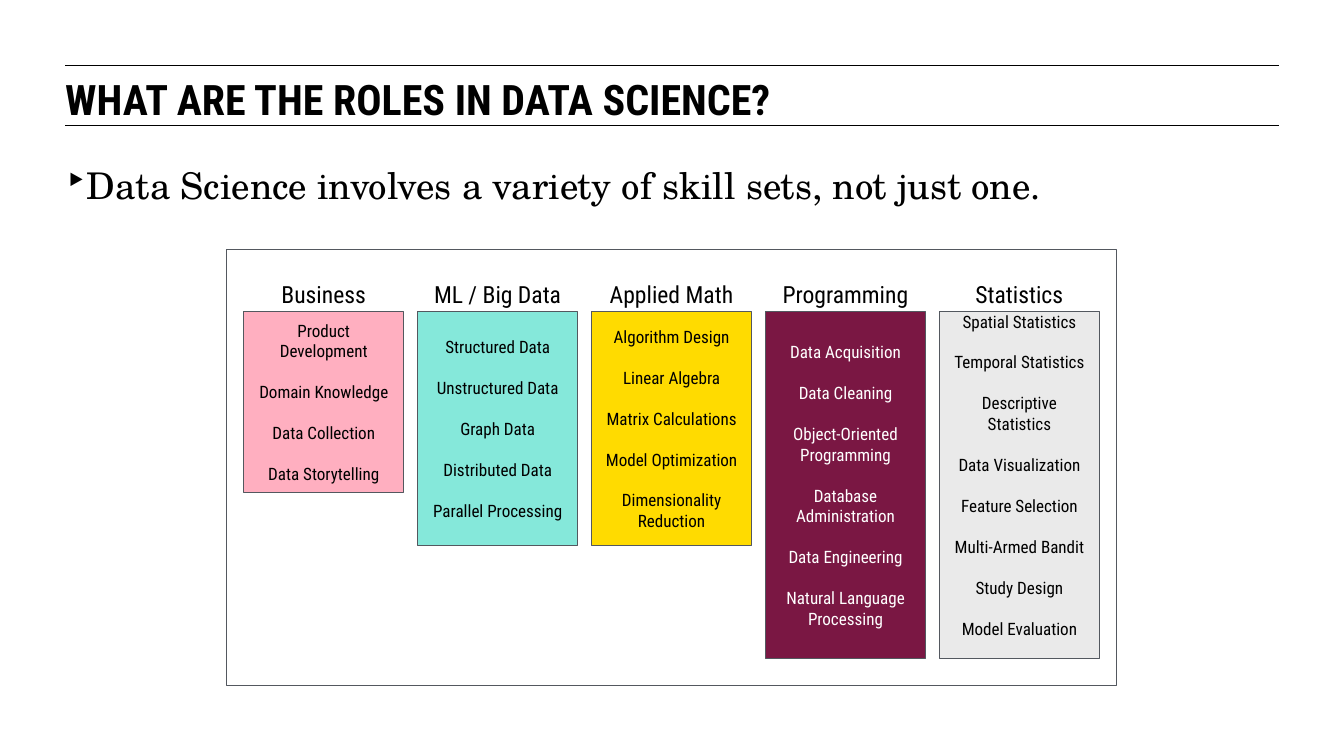
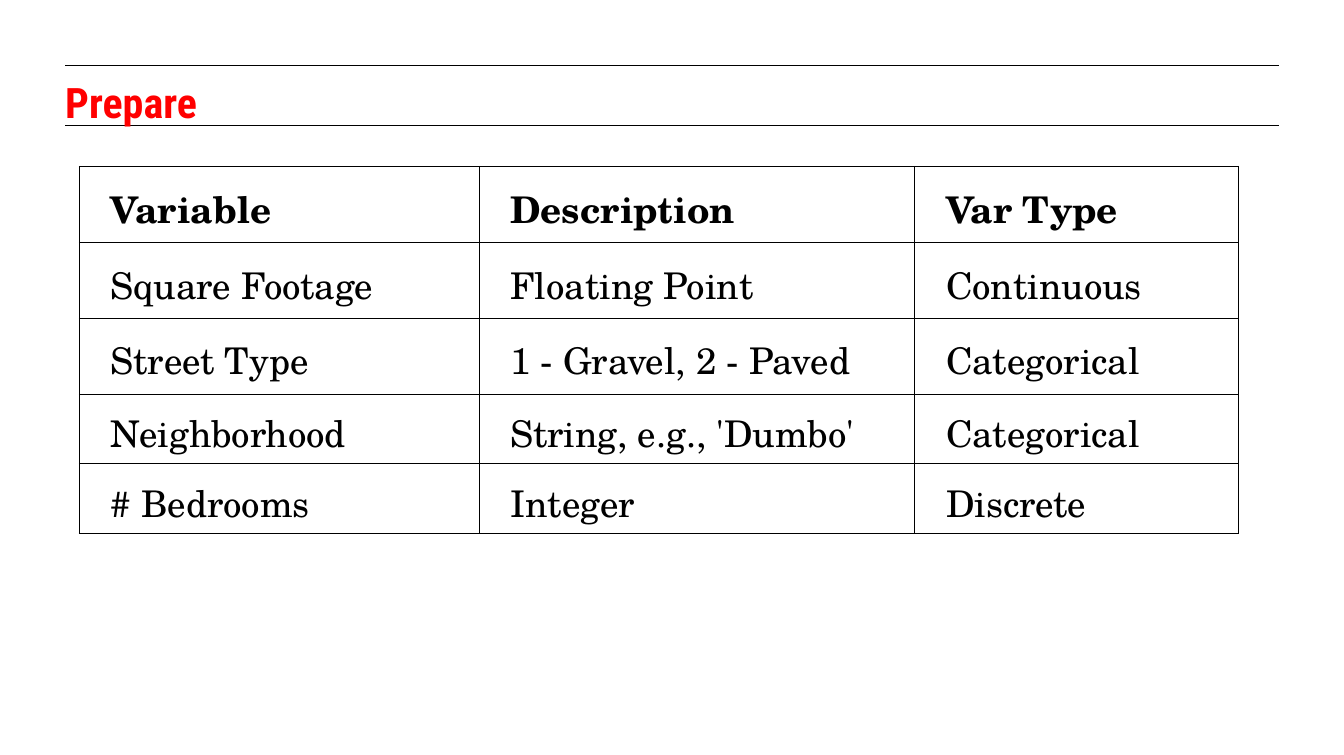
from lxml.etree import SubElement
from pptx import Presentation
from pptx.dml.color import RGBColor
from pptx.enum.shapes import MSO_CONNECTOR as Connector, MSO_SHAPE as Preset
from pptx.enum.text import MSO_ANCHOR as Anchor, PP_ALIGN as Align
from pptx.oxml import parse_xml
from pptx.oxml.ns import nsdecls, qn
from pptx.util import Inches, Pt

COLORS = {
    "black": "000000", "white": "FFFFFF", "red": "FF0000", "outline": "53585F",
    "pink": "FFAFC0", "teal": "85E8DA", "yellow": "FFDB00",
    "plum": "7A1743", "gray": "EAEAEA",
}
SANS = "Roboto Condensed"
SERIF = "TeX Gyre Schola"
LINE_WIDTH = Pt(0.75)


def rgb(name):
    return RGBColor.from_string(COLORS[name])


class Deck:
    """Holds the shared style and the slide being built."""

    def __init__(self, width, height):
        self.presentation = Presentation()
        self.presentation.slide_width = Inches(width)
        self.presentation.slide_height = Inches(height)
        self.slide = None

    def add_slide(self, title, color="black", title_top=0.78):
        self.slide = self.presentation.slides.add_slide(self.presentation.slide_layouts[6])
        for y in (0.69, 1.33):
            self.rule(0.69, 13.53, y)
        self.text(title, 0.69, title_top, 8.44, 0.47, size=32, color=color, bold=True)

    def rule(self, left, right, y):
        line = self.slide.shapes.add_connector(
            Connector.STRAIGHT, Inches(left), Inches(y), Inches(right), Inches(y))
        line.line.color.rgb = rgb("black")
        line.line.width = LINE_WIDTH
        SubElement(line._element.spPr, qn("a:effectLst"))

    def style(self, paragraph, size, font=SANS, color="black", bold=False):
        paragraph.font.name = font
        paragraph.font.size = Pt(size)
        paragraph.font.bold = bold
        paragraph.font.color.rgb = rgb(color)

    def frame(self, shape, inset, anchor):
        frame = shape.text_frame
        frame.word_wrap = True
        frame.vertical_anchor = anchor
        frame.margin_left = frame.margin_right = Inches(inset)
        frame.margin_top = frame.margin_bottom = Inches(inset)
        return frame

    def text(self, words, left, top, width, height, inset=0, anchor=Anchor.TOP,
             align=Align.LEFT, **style):
        box = self.slide.shapes.add_textbox(
            Inches(left), Inches(top), Inches(width), Inches(height))
        paragraph = self.frame(box, inset, anchor).paragraphs[0]
        paragraph.text = words
        paragraph.alignment = align
        self.style(paragraph, **style)
        return paragraph

    def bullet(self, words, left, top, width, height):
        paragraph = self.text(words, left, top, width, height, size=28, font=SERIF)
        properties = paragraph._p.get_or_add_pPr()
        properties.set("marL", str(Inches(0.22)))
        properties.set("indent", str(Inches(-0.28)))
        color = SubElement(properties, qn("a:buClr"))
        SubElement(color, qn("a:srgbClr"), val=COLORS["black"])
        SubElement(properties, qn("a:buChar"), char="‣")

    def box(self, left, top, width, height, fill=None):
        shape = self.slide.shapes.add_shape(
            Preset.RECTANGLE, Inches(left), Inches(top), Inches(width), Inches(height))
        shape.shadow.inherit = False
        shape.line.color.rgb = rgb("outline")
        shape.line.width = LINE_WIDTH
        if fill:
            shape.fill.solid()
            shape.fill.fore_color.rgb = rgb(fill)
        else:
            shape.fill.background()
        return shape

    def list_box(self, items, left, top, width, height, fill, color, lift):
        shape = self.box(left, top, width, height, fill)
        frame = self.frame(shape, 0.1, Anchor.MIDDLE)
        frame.margin_bottom = Inches(0.1 + lift)
        for index, item in enumerate(items):
            paragraph = frame.add_paragraph() if index else frame.paragraphs[0]
            paragraph.text = item
            paragraph.alignment = Align.CENTER
            paragraph.space_before = Pt(15.6 if index else 0)
            self.style(paragraph, 13, color=color)

    def table(self, rows, left, top, widths, heights):
        table = self.slide.shapes.add_table(
            len(rows), len(widths), Inches(left), Inches(top),
            Inches(sum(widths)), Inches(sum(heights))).table
        table.first_row = table.horz_banding = False
        for column, width in zip(table.columns, widths):
            column.width = Inches(width)
        for row, height in zip(table.rows, heights):
            row.height = Inches(height)
        for row_index, row in enumerate(rows):
            for column_index, words in enumerate(row):
                self.cell(table.cell(row_index, column_index), words, bold=row_index == 0)

    def cell(self, cell, words, bold):
        cell.fill.solid()
        cell.fill.fore_color.rgb = rgb("white")
        cell.vertical_anchor = Anchor.MIDDLE
        cell.margin_left = cell.margin_right = Inches(0.04)
        cell.margin_top = cell.margin_bottom = Inches(0.04)
        paragraph = cell.text_frame.paragraphs[0]
        paragraph.text = words
        paragraph.line_spacing = 1.15
        paragraph.space_before = paragraph.space_after = Pt(11)
        paragraph._p.get_or_add_pPr().set("marL", str(Inches(0.29)))
        self.style(paragraph, 28, font=SERIF, bold=bold)
        # Borders come before the fill in the cell properties
        properties = cell._tc.get_or_add_tcPr()
        for index, side in enumerate(("lnL", "lnR", "lnT", "lnB")):
            properties.insert(index, parse_xml(
                f'<a:{side} {nsdecls("a")} w="{LINE_WIDTH}"><a:solidFill>'
                f'<a:srgbClr val="{COLORS["black"]}"/></a:solidFill></a:{side}>'))


# Heading, fill, text colour, box height, upward shift of the list, skills
ROLES = [
    ("Business", "pink", "black", 1.91, 0,
     ["Product Development", "Domain Knowledge", "Data Collection", "Data Storytelling"]),
    ("ML / Big Data", "teal", "black", 2.47, 0,
     ["Structured Data", "Unstructured Data", "Graph Data", "Distributed Data",
      "Parallel Processing"]),
    ("Applied Math", "yellow", "black", 2.47, 0,
     ["Algorithm Design", "Linear Algebra", "Matrix Calculations", "Model Optimization",
      "Dimensionality Reduction"]),
    ("Programming", "plum", "white", 3.67, 0,
     ["Data Acquisition", "Data Cleaning", "Object-Oriented Programming",
      "Database Administration", "Data Engineering", "Natural Language Processing"]),
    ("Statistics", "gray", "black", 3.67, 0.22,
     ["Spatial Statistics", "Temporal Statistics", "Descriptive Statistics",
      "Data Visualization", "Feature Selection", "Multi-Armed Bandit", "Study Design",
      "Model Evaluation"]),
]

VARIABLES = [
    ("Variable", "Description", "Var Type"),
    ("Square Footage", "Floating Point", "Continuous"),
    ("Street Type", "1 - Gravel, 2 - Paved", "Categorical"),
    ("Neighborhood", "String, e.g., 'Dumbo'", "Categorical"),
    ("# Bedrooms", "Integer", "Discrete"),
]


def main():
    deck = Deck(14.22, 7.99)

    # Roles and their skills
    deck.add_slide("WHAT ARE THE ROLES IN DATA SCIENCE?")
    deck.bullet("Data Science involves a variety of skill sets, not just one.",
                0.69, 1.72, 12.83, 0.6)
    deck.box(2.4, 2.64, 9.41, 4.61)
    width, pitch = 1.69, 1.84
    for index, (heading, fill, color, height, lift, skills) in enumerate(ROLES):
        left = 2.58 + index * pitch
        deck.list_box(skills, left, 3.3, width, height, fill, color, lift)
        deck.text(heading, left, 2.92, width, 0.38, inset=0.1, anchor=Anchor.MIDDLE,
                  align=Align.CENTER, size=18)

    # Variables table
    deck.add_slide("Prepare", color="red", title_top=0.81)
    deck.table(VARIABLES, 0.84, 1.76, widths=(4.23, 4.61, 3.42),
               heights=(0.81, 0.8, 0.8, 0.74, 0.74))

    deck.presentation.save("out.pptx")


if __name__ == "__main__":
    main()
